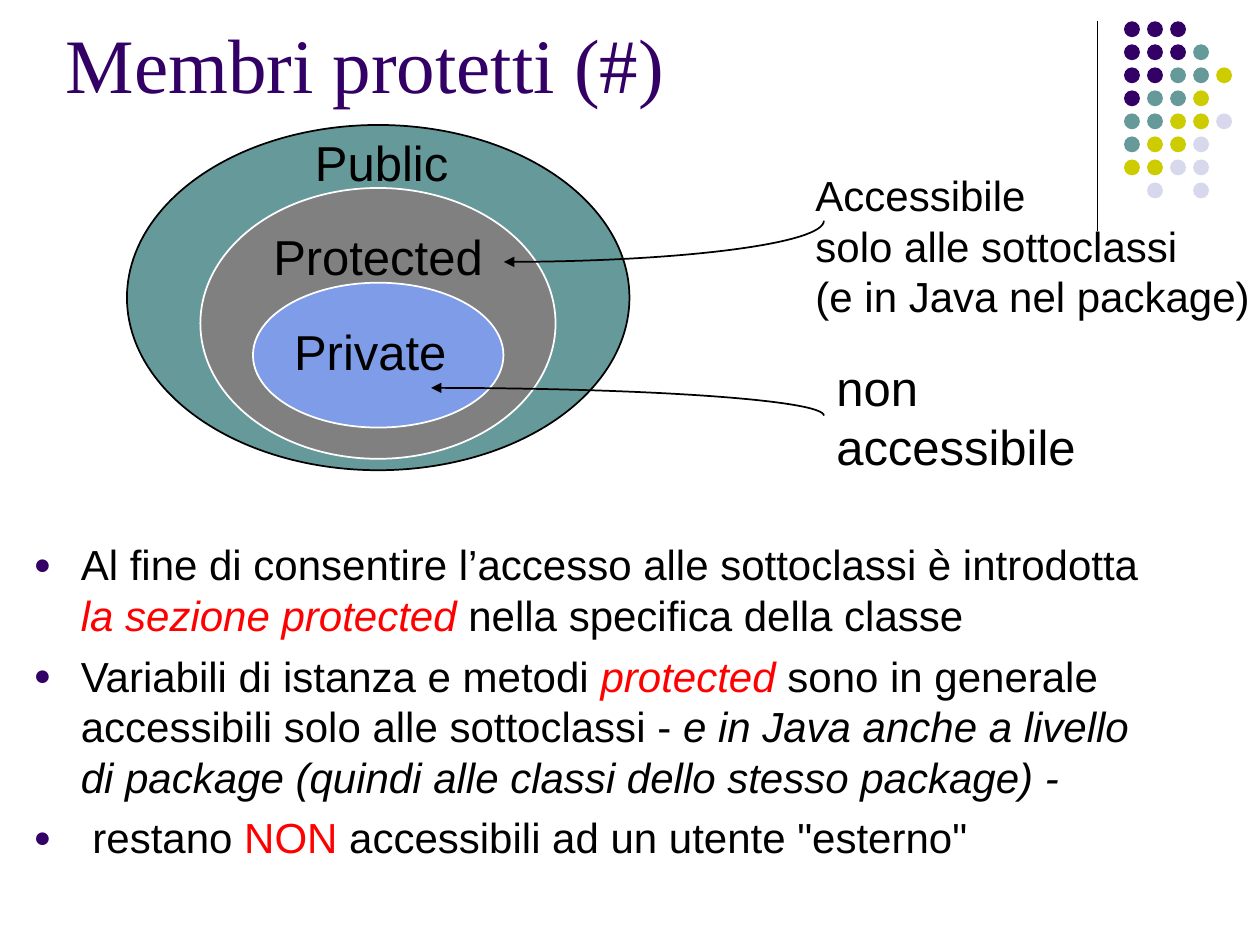
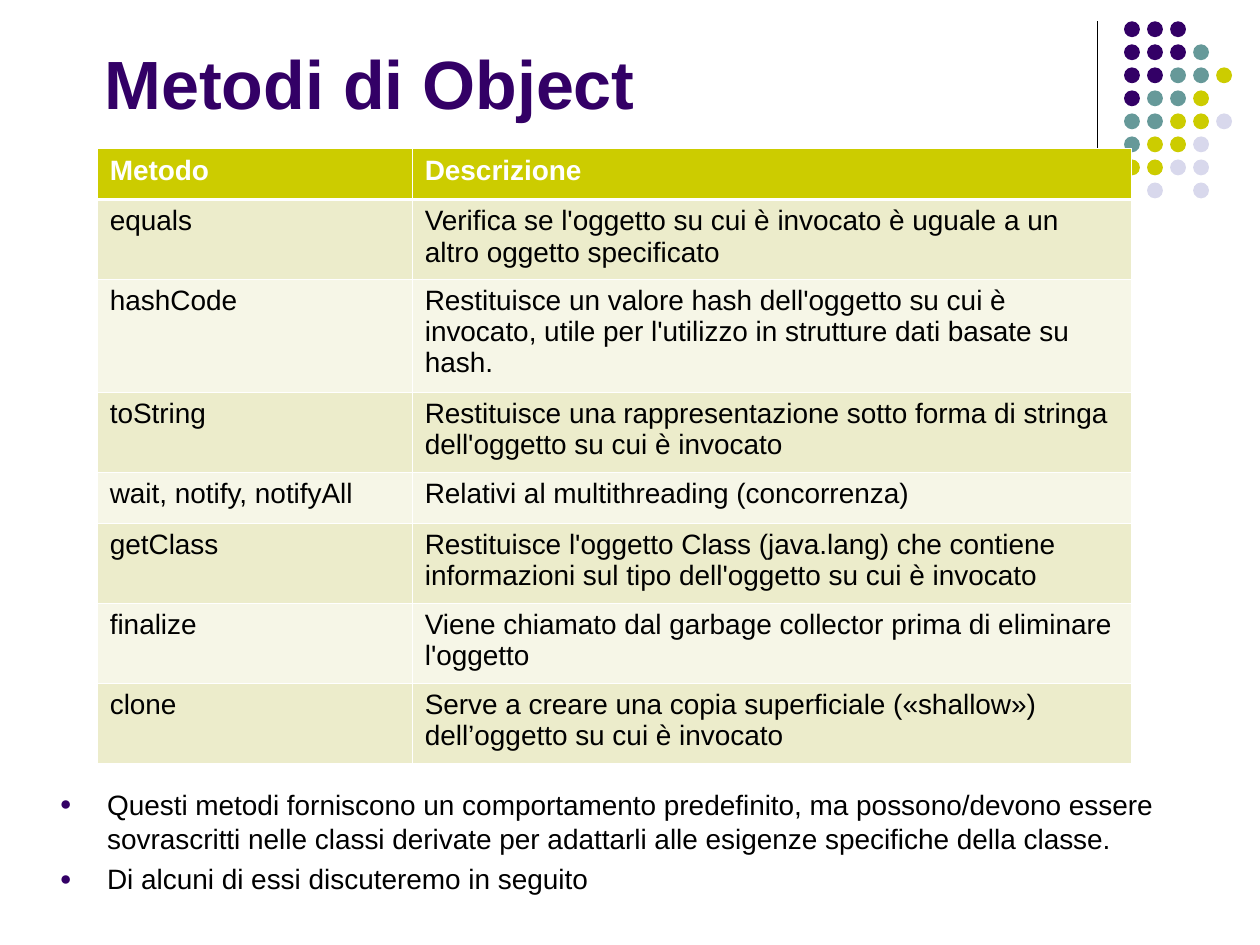
from lxml.etree import SubElement
from pptx import Presentation
from pptx.dml.color import RGBColor
from pptx.enum.shapes import MSO_CONNECTOR, MSO_SHAPE
from pptx.enum.text import MSO_ANCHOR as Anchor, MSO_AUTO_SIZE as AutoSize, PP_ALIGN as Align
from pptx.oxml.ns import qn
from pptx.util import Cm, Pt

PURPLE, TEAL, LIME, LILAC = "330066", "669999", "CCCC00", "D8D8EC"
BLACK, WHITE, RED, GREY, BLUE = "000000", "FFFFFF", "FF0000", "808080", "7E9CE8"
BAND_DARK, BAND_LIGHT = "ECECCB", "F6F6E7"


def rgb(code):
    return RGBColor.from_string(code)


def write(frame, lines, size=24, color=BLACK, font="Arial", bold=False, wrap=True,
          anchor=Anchor.TOP, before=0, bullet=False):
    """Fill a text frame; a line is a string or a list of (text, colour, italic) runs."""
    frame.word_wrap = wrap
    frame.auto_size = AutoSize.NONE if wrap else AutoSize.SHAPE_TO_FIT_TEXT
    frame.vertical_anchor = anchor
    for index, line in enumerate(lines):
        paragraph = frame.add_paragraph() if index else frame.paragraphs[0]
        if bullet:
            props = paragraph._p.get_or_add_pPr()
            props.set("marL", str(Cm(0.95)))
            props.set("indent", str(-Cm(0.95)))
            SubElement(SubElement(props, qn("a:buClr")), qn("a:srgbClr"), val=PURPLE)
            SubElement(props, qn("a:buSzPct"), val="70000")
            SubElement(props, qn("a:buFont"), typeface="Arial")
            SubElement(props, qn("a:buChar"), char="●")
        paragraph.alignment = Align.LEFT
        paragraph.space_before = Pt(before if index else 0)
        runs = [(line, color, False)] if isinstance(line, str) else line
        for text, run_color, italic in runs:
            run = paragraph.add_run()
            run.text = text
            run.font.size, run.font.name = Pt(size), font
            run.font.bold, run.font.italic = bold, italic
            run.font.color.rgb = rgb(run_color)


prs = Presentation()
prs.slide_width, prs.slide_height = Cm(25.4), Cm(19.05)
title_only = prs.slide_layouts[5]

# Shared look: title, vertical rule and dot pattern
DOT_COLORS = {"P": PURPLE, "T": TEAL, "L": LIME, "V": LILAC}
DOT_ROWS = ["PPP", "PPPT", "PPTTL", "PTTL", "TTLLV", "TLLV", "LLVV", " V V"]
DOT_PITCH, DOT_SIZE = 3.25 / 7, 0.32

titles = [
    ("Membri protetti (#)", (1.07, 0, 21.59, 2.54),
     dict(size=44, font="Times New Roman", anchor=Anchor.MIDDLE)),
    ("Metodi di Object", (1.85, -0.99, 20.96, 3.61),
     dict(size=39, bold=True, anchor=Anchor.BOTTOM)),
]
slides = []
for heading, (left, top, width, height), style in titles:
    slide = prs.slides.add_slide(title_only)
    slides.append(slide)
    title = slide.shapes.title
    title.left, title.top, title.width, title.height = Cm(left), Cm(top), Cm(width), Cm(height)
    write(title.text_frame, [heading], color=PURPLE, **style)

    rule = slide.shapes.add_connector(MSO_CONNECTOR.STRAIGHT, Cm(22.12), Cm(0.43), Cm(22.12), Cm(4.65))
    rule.line.color.rgb = rgb(BLACK)
    rule.line.width = Pt(0.75)
    SubElement(rule._element.spPr, qn("a:effectLst"))

    for row, pattern in enumerate(DOT_ROWS):
        for column, key in enumerate(pattern):
            if key in DOT_COLORS:
                dot = slide.shapes.add_shape(
                    MSO_SHAPE.OVAL, Cm(22.66 + column * DOT_PITCH), Cm(0.43 + row * DOT_PITCH),
                    Cm(DOT_SIZE), Cm(DOT_SIZE))
                dot.shadow.inherit = False
                dot.fill.solid()
                dot.fill.fore_color.rgb = rgb(DOT_COLORS[key])
                dot.line.fill.background()

protected_slide, object_slide = slides

# Slide 1: nested visibility levels
levels = [
    ((2.56, 2.52, 10.13, 6.96), TEAL, BLACK),
    ((4.04, 3.79, 7.16, 5.46), GREY, WHITE),
    ((5.1, 5.7, 5.05, 2.92), BLUE, WHITE),
]
for box, fill, outline in levels:
    level = protected_slide.shapes.add_shape(MSO_SHAPE.OVAL, *map(Cm, box))
    level.shadow.inherit = False
    level.fill.solid()
    level.fill.fore_color.rgb = rgb(fill)
    level.line.color.rgb = rgb(outline)
    level.line.width = Pt(1)

# Curved arrows from the remarks to the levels, with the head at the first point
for tip_x, tip_y, end_x, end_y in [(8.69, 7.82, 16.61, 8.38), (10.16, 5.28, 16.61, 4.45)]:
    points = [(tip_x + 0.55 * (end_x - tip_x), tip_y),
              (end_x, tip_y + 0.45 * (end_y - tip_y)),
              (end_x, end_y)]
    builder = protected_slide.shapes.build_freeform(Cm(tip_x), Cm(tip_y))
    builder.add_line_segments([(Cm(x), Cm(y)) for x, y in points], close=False)
    arrow = builder.convert_to_shape()
    outline = next(arrow._element.iter(qn("a:path")))
    segments = outline.findall(qn("a:lnTo"))
    curve = SubElement(outline, qn("a:cubicBezTo"))
    for segment in segments:
        curve.append(segment[0])
        outline.remove(segment)
    arrow.shadow.inherit = False
    arrow.fill.background()
    arrow.line.color.rgb = rgb(BLACK)
    arrow.line.width = Pt(1)
    SubElement(arrow.line._get_or_add_ln(), qn("a:headEnd"), type="triangle")

labels = [
    ((6.1, 2.54, 3.3, 1.42), ["Public"], 28),
    ((5.26, 4.45, 4.9, 1.42), ["Protected"], 28),
    ((5.68, 6.35, 3.7, 1.42), ["Private"], 28),
    ((16.61, 7.09, 5.5, 2.62), ["non", "accessibile"], 28),
    ((16.19, 3.3, 9.5, 3.3),
     ["Accessibile", "solo alle sottoclassi", "(e in Java nel package)"], 24),
]
for box, lines, size in labels:
    label = protected_slide.shapes.add_textbox(*map(Cm, box))
    write(label.text_frame, lines, size=size, wrap=False)

protected_notes = [
    [("Al fine di consentire l’accesso alle sottoclassi è introdotta ", BLACK, False),
     ("la sezione protected ", RED, True),
     ("nella specifica della classe", BLACK, False)],
    [("Variabili di istanza e metodi ", BLACK, False),
     ("protected", RED, True),
     (" sono in generale accessibili solo alle sottoclassi - ", BLACK, False),
     ("e in Java anche a livello di package (quindi alle classi dello stesso package) -", BLACK, True)],
    [(" restano ", BLACK, False),
     ("NON", RED, False),
     (' accessibili ad un utente "esterno"', BLACK, False)],
]
explanation = protected_slide.shapes.add_textbox(Cm(0.43), Cm(10.74), Cm(22.86), Cm(7.11))
write(explanation.text_frame, protected_notes, before=6, bullet=True)

# Slide 2: methods of Object
methods = [
    ("Metodo", "Descrizione", 1.02),
    ("equals", "Verifica se l'oggetto su cui è invocato è uguale a un altro oggetto specificato", 1.61),
    ("hashCode", "Restituisce un valore hash dell'oggetto su cui è invocato, utile per "
                 "l'utilizzo in strutture dati basate su hash.", 2.28),
    ("toString", "Restituisce una rappresentazione sotto forma di stringa dell'oggetto "
                 "su cui è invocato", 1.61),
    ("wait, notify, notifyAll", "Relativi al multithreading (concorrenza)", 1.03),
    ("getClass", "Restituisce l'oggetto Class (java.lang) che contiene informazioni sul "
                 "tipo dell'oggetto su cui è invocato", 1.61),
    ("finalize", "Viene chiamato dal garbage collector prima di eliminare l'oggetto", 1.61),
    ("clone", "Serve a creare una copia superficiale («shallow») dell’oggetto su cui è invocato", 1.61),
]
method_table = object_slide.shapes.add_table(
    len(methods), 2, Cm(1.96), Cm(3), Cm(20.85), Cm(12.4)).table
method_table.columns[0].width, method_table.columns[1].width = Cm(6.35), Cm(14.5)
for row, (method, description, height) in enumerate(methods):
    method_table.rows[row].height = Cm(height)
    header = row == 0
    band = LIME if header else BAND_DARK if row % 2 else BAND_LIGHT
    for column, text in enumerate((method, description)):
        cell = method_table.cell(row, column)
        for side in "LRTB":
            thick = (row, side) in [(0, "B"), (1, "T")]
            border = SubElement(cell._tc.get_or_add_tcPr(), qn(f"a:ln{side}"),
                                w=str(Pt(1.47 if thick else 0.45)))
            SubElement(SubElement(border, qn("a:solidFill")), qn("a:srgbClr"), val=WHITE)
        cell.fill.solid()
        cell.fill.fore_color.rgb = rgb(band)
        write(cell.text_frame, [text], size=16, color=WHITE if header else BLACK, bold=header)

object_notes = [
    "Questi metodi forniscono un comportamento predefinito, ma possono/devono essere "
    "sovrascritti nelle classi derivate per adattarli alle esigenze specifiche della classe.",
    "Di alcuni di essi discuteremo in seguito",
]
remarks = object_slide.shapes.add_textbox(Cm(0.96), Cm(15.75), Cm(22.86), Cm(3.3))
write(remarks.text_frame, object_notes, size=16, before=4, bullet=True)

prs.save("out.pptx")
